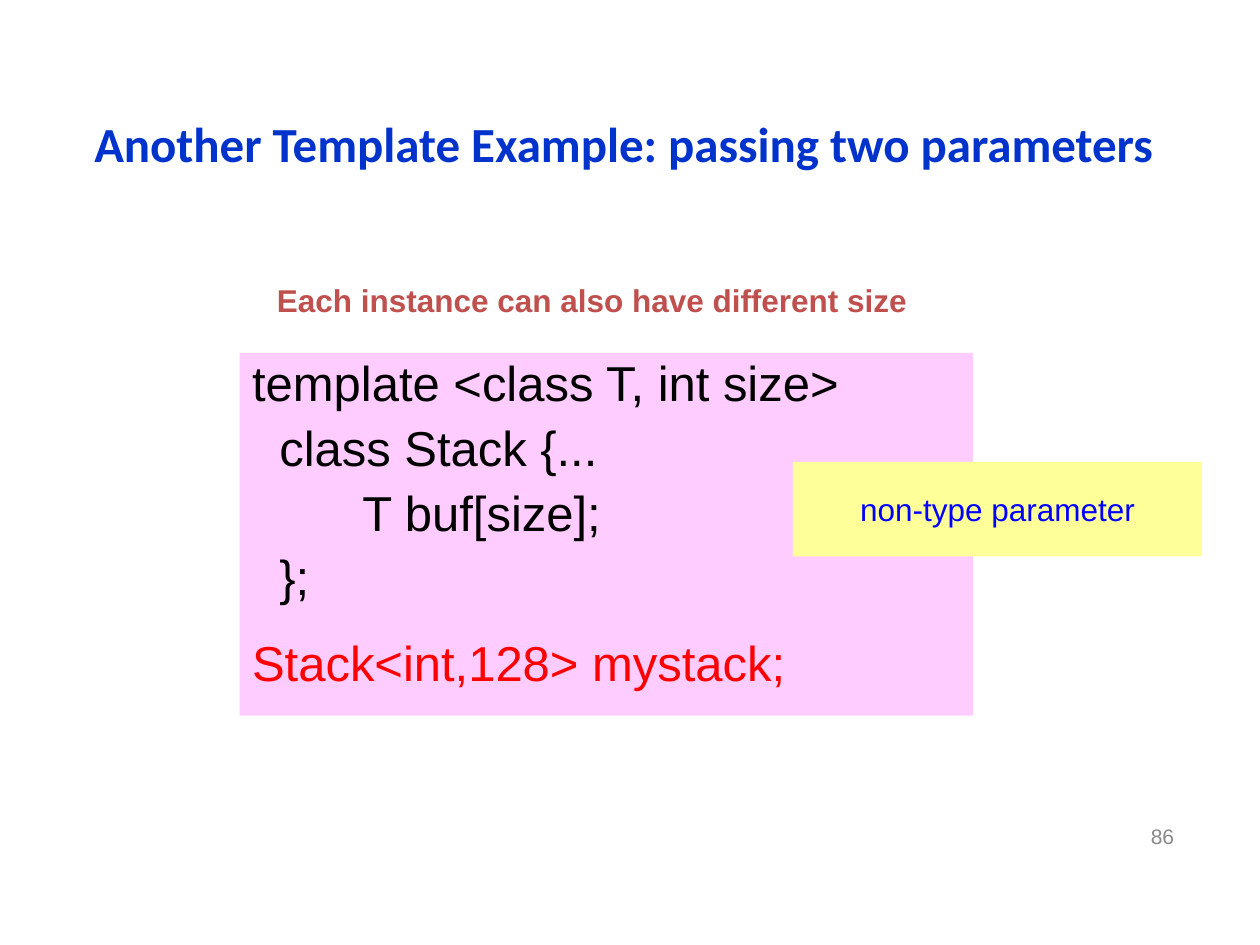
from pptx import Presentation
from pptx.dml.color import RGBColor
from pptx.enum.shapes import MSO_SHAPE
from pptx.enum.text import MSO_ANCHOR, PP_ALIGN
from pptx.util import Pt

RECT = MSO_SHAPE.RECTANGLE
TOP, MIDDLE = MSO_ANCHOR.TOP, MSO_ANCHOR.MIDDLE
LEFT, CENTER, RIGHT = PP_ALIGN.LEFT, PP_ALIGN.CENTER, PP_ALIGN.RIGHT

BLACK = RGBColor(0x00, 0x00, 0x00)
RED = RGBColor(0xFF, 0x00, 0x00)
BLUE = RGBColor(0x00, 0x00, 0xFF)
TITLE_BLUE = RGBColor(0x00, 0x33, 0xCC)
BRICK = RGBColor(0xC0, 0x50, 0x4D)
GREY = RGBColor(0x89, 0x89, 0x89)
PINK = RGBColor(0xFF, 0xCC, 0xFF)
YELLOW = RGBColor(0xFF, 0xFF, 0x99)

CODE_LINES = [
    ("template <class T, int size>", BLACK, 0, 0),
    ("  class Stack {...", BLACK, 6.8, 0),
    ("T buf[size];", BLACK, 6.8, 63),
    ("  };", BLACK, 6.8, 0),
    ("Stack<int,128> mystack;", RED, 18.6, 0),
]


def write(p, text, size=18, color=BLACK, font="Arial", bold=False, align=LEFT):
    """Write formatted text into a paragraph."""
    p.alignment = align
    r = p.add_run()
    r.text = text
    r.font.name, r.font.size, r.font.bold = font, Pt(size), bold
    r.font.color.rgb = color


def add_box(slide, box, fill=None, anchor=TOP, wrap=True):
    """Add a text box, or a filled rectangle, and return its text frame."""
    x, y, w, h = map(Pt, box)
    if fill is None:
        sp = slide.shapes.add_textbox(x, y, w, h)
    else:
        sp = slide.shapes.add_shape(RECT, x, y, w, h)
        sp.shadow.inherit = False
        sp.fill.solid()
        sp.fill.fore_color.rgb = fill
        sp.line.fill.background()
    tf = sp.text_frame
    tf.word_wrap = wrap
    tf.vertical_anchor = anchor
    return tf


def add_label(slide, box, text, fill=None, anchor=TOP, wrap=True, **fmt):
    """Add a box holding one line of text."""
    tf = add_box(slide, box, fill, anchor, wrap)
    write(tf.paragraphs[0], text, **fmt)


def add_code(slide, box):
    """Add the code panel with its indented lines."""
    tf = add_box(slide, box, PINK)
    for i, (text, color, before, indent) in enumerate(CODE_LINES):
        p = tf.add_paragraph() if i else tf.paragraphs[0]
        p.line_spacing = 0.9
        p.space_before = Pt(before)
        p._p.get_or_add_pPr().set("marL", str(Pt(indent)))
        write(p, text, size=28, color=color)


def main():
    """Build the slide and save it."""
    prs = Presentation()
    prs.slide_width, prs.slide_height = Pt(720), Pt(540)
    s = prs.slides.add_slide(prs.slide_layouts[6])
    add_label(s, (510, 463, 168, 29), "86", anchor=MIDDLE,
              size=12, color=GREY, align=RIGHT)
    add_label(s, (46.8, 55.4, 631.4, 52.6),
              "Another Template Example: passing two parameters", anchor=MIDDLE,
              size=28, color=TITLE_BLUE, font="Calibri", bold=True)
    add_code(s, (137, 201.6, 419, 207.4))
    add_label(s, (453, 264, 234, 54), "non-type parameter", fill=YELLOW,
              anchor=MIDDLE, wrap=False, color=BLUE, align=CENTER)
    add_label(s, (151.2, 157, 404.8, 29),
              "Each instance can also have different size", color=BRICK, bold=True)
    prs.save("out.pptx")


if __name__ == "__main__":
    main()
